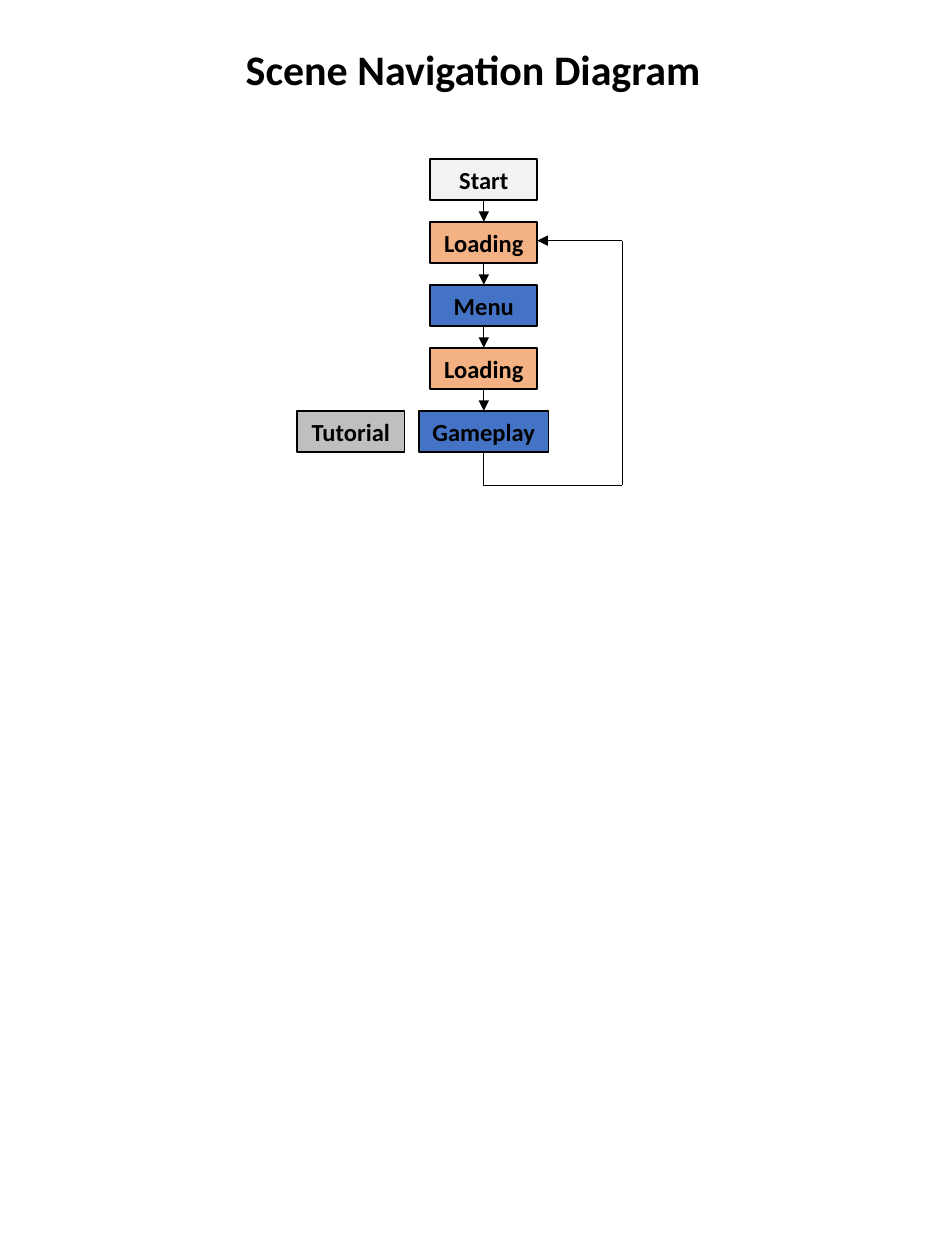
from pptx import Presentation
from pptx import util as u
from pptx.dml.color import RGBColor
from pptx.enum import shapes, text
from pptx.oxml.ns import qn
from lxml import etree

BLACK = RGBColor(0, 0, 0)
PALE = RGBColor(0xF2, 0xF2, 0xF2)
PEACH = RGBColor(0xF4, 0xB1, 0x83)
BLUE = RGBColor(0x44, 0x72, 0xC4)
GREY = RGBColor(0xBF, 0xBF, 0xBF)

WIDE, HIGH = 0.85, 0.33
STEPS = [("Start", PALE, WIDE), ("Loading", PEACH, WIDE), ("Menu", BLUE, WIDE),
         ("Loading", PEACH, WIDE), ("Gameplay", BLUE, 1.03)]


def write(shape, words, size):
    """Put one centred bold line of text in a shape."""
    frame = shape.text_frame
    frame.text = words
    line = frame.paragraphs[0]
    line.alignment = text.PP_ALIGN.CENTER
    font = line.runs[0].font
    font.name, font.size, font.bold = "Calibri", u.Pt(size), True
    font.color.rgb = BLACK


def scene(slide, words, fill, left, top, width):
    """Draw one scene box."""
    box = slide.shapes.add_shape(shapes.MSO_SHAPE.RECTANGLE, u.Inches(left),
                                 u.Inches(top), u.Inches(width), u.Inches(HIGH))
    box.shadow.inherit = False
    box.fill.solid()
    box.fill.fore_color.rgb = fill
    box.line.color.rgb = BLACK
    box.line.width = u.Pt(1)
    box.text_frame.word_wrap = False
    box.text_frame.vertical_anchor = text.MSO_ANCHOR.MIDDLE
    write(box, words, 14)


def link(slide, start, end, arrow=True, kind=shapes.MSO_CONNECTOR.STRAIGHT):
    """Draw a thin connector, with an arrowhead at its end if asked."""
    wire = slide.shapes.add_connector(kind, *map(u.Inches, start + end))
    wire.line.color.rgb = BLACK
    wire.line.width = u.Pt(0.5)
    if arrow:
        etree.SubElement(wire.line._get_or_add_ln(), qn("a:tailEnd"), type="triangle")
    etree.SubElement(wire._element.spPr, qn("a:effectLst"))
    return wire


def corner(slide, start, end):
    """Draw a one-bend connector that goes down and then right."""
    (x1, y1), (x2, y2) = start, end
    midx, midy = (x1 + x2) / 2, (y1 + y2) / 2
    halfw, halfh = (y2 - y1) / 2, (x2 - x1) / 2
    wire = link(slide, (midx + halfw, midy - halfh), (midx - halfw, midy + halfh),
                False, shapes.MSO_CONNECTOR.ELBOW)
    props = wire._element.spPr
    props.find(qn("a:xfrm")).set("rot", str(270 * 60000))
    props.find(qn("a:prstGeom")).set("prst", "bentConnector2")


def title(slide, words, left, top, width, height):
    """Place the heading in its box."""
    box = slide.shapes.add_textbox(*map(u.Inches, (left, top, width, height)))
    box.text_frame.word_wrap = True
    write(box, words, 24)


def flow(slide, mid, top, pitch):
    """Stack the scenes about a middle line, with the side scene and the loop."""
    for row, (words, fill, width) in enumerate(STEPS):
        y = top + row * pitch
        scene(slide, words, fill, mid - width / 2, y, width)
        if row:
            link(slide, (mid, y - pitch + HIGH), (mid, y))
    scene(slide, "Tutorial", GREY, mid - 1.48, y, WIDE)

    side, low, back = mid + 1.1, y + HIGH + 0.26, top + pitch + 0.15
    corner(slide, (mid, y + HIGH), (side, low))
    link(slide, (side, low), (side, back), False)
    link(slide, (side, back), (mid + WIDE / 2, back))


deck = Presentation()
deck.slide_width, deck.slide_height = u.Inches(7.5), u.Inches(10)
page = deck.slides.add_slide(deck.slide_layouts[6])
flow(page, 3.84, 1.26, 0.5)
title(page, "Scene Navigation Diagram", 1.73, 0.3, 4.05, 0.5)
deck.save("out.pptx")
